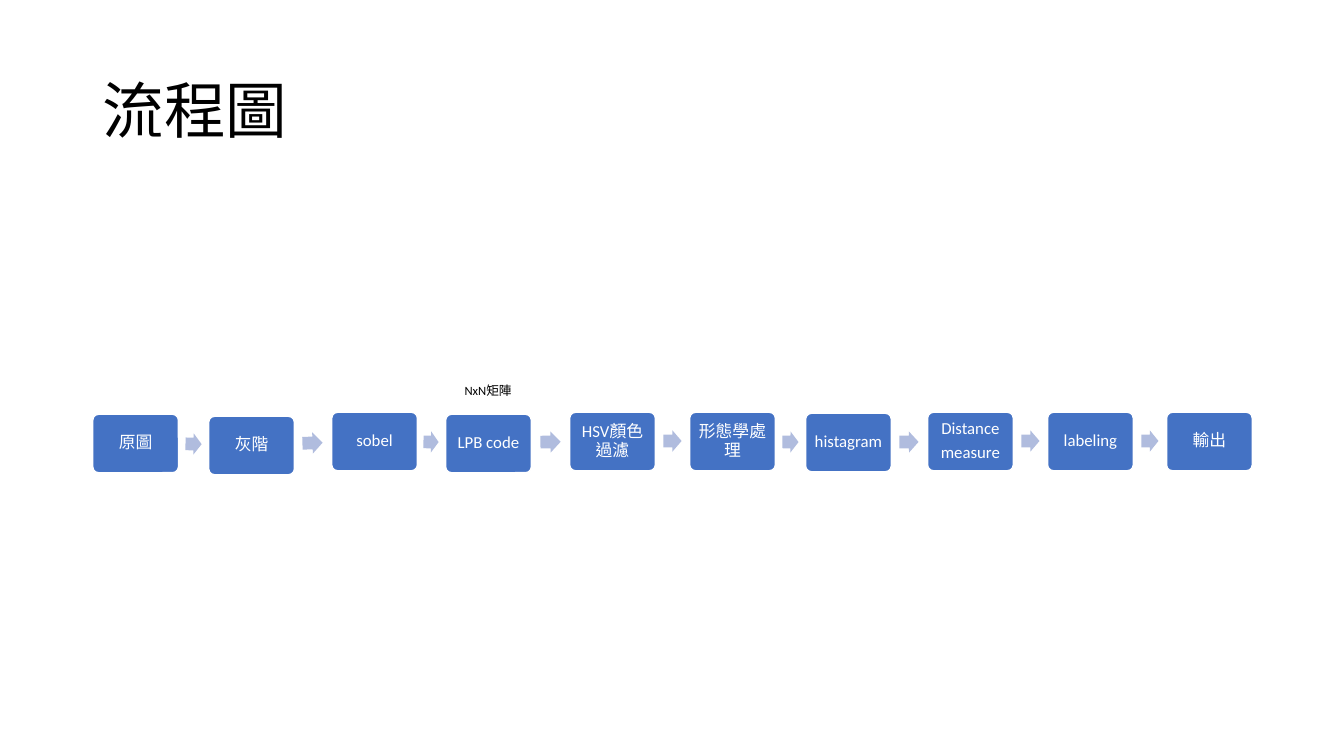
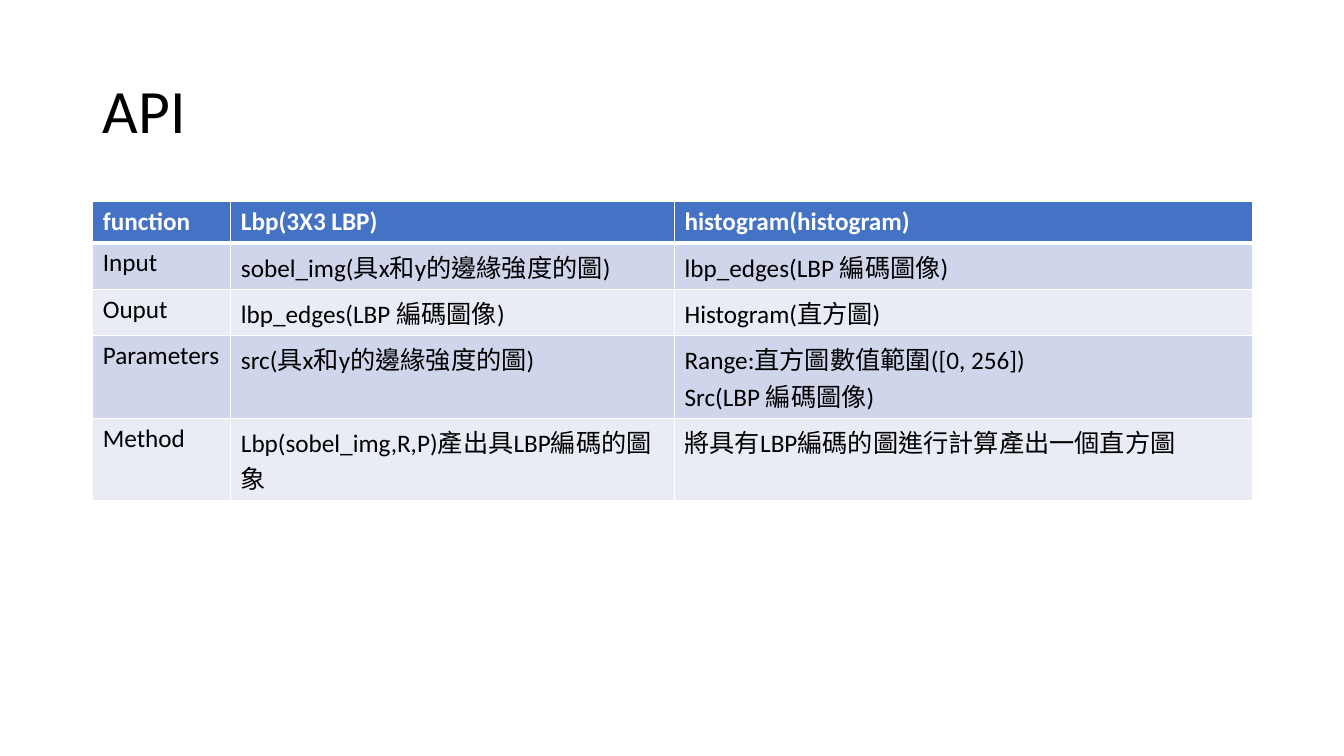
import math

import lxml.etree
import pptx
import pptx.dml.color
import pptx.enum.lang
import pptx.enum.shapes
import pptx.enum.text
import pptx.oxml.ns
import pptx.util

PX = 9144
FONT = "Calibri"
BLACK = pptx.dml.color.RGBColor(0x00, 0x00, 0x00)
WHITE = pptx.dml.color.RGBColor(0xFF, 0xFF, 0xFF)
BLUE = pptx.dml.color.RGBColor(0x44, 0x72, 0xC4)
ARROW_BLUE = pptx.dml.color.RGBColor(0xB0, 0xBC, 0xDE)
BAND_DARK = pptx.dml.color.RGBColor(0xCF, 0xD5, 0xEA)
BAND_LIGHT = pptx.dml.color.RGBColor(0xE9, 0xEB, 0xF5)
MIDDLE = pptx.enum.text.MSO_ANCHOR.MIDDLE
SHAPES = pptx.enum.shapes.MSO_SHAPE


def write(frame, text, size, color, bold=False, line_spacing=None):
    frame.text = text
    frame.word_wrap = True
    for paragraph in frame.paragraphs:
        paragraph.line_spacing = line_spacing
        for run in paragraph.runs:
            run.font.name = FONT
            run.font.size = pptx.util.Pt(size)
            run.font.bold = bold
            run.font.color.rgb = color
            run.font.language_id = pptx.enum.lang.MSO_LANGUAGE_ID.TRADITIONAL_CHINESE


def add_border(cell_properties, side, points):
    border = lxml.etree.SubElement(cell_properties, pptx.oxml.ns.qn("a:" + side))
    border.set("w", str(pptx.util.Pt(points)))
    fill = lxml.etree.SubElement(border, pptx.oxml.ns.qn("a:solidFill"))
    lxml.etree.SubElement(fill, pptx.oxml.ns.qn("a:srgbClr")).set("val", str(WHITE))


deck = pptx.Presentation()
deck.slide_width = 1333 * PX
deck.slide_height = 750 * PX

slides = []
for heading in ("流程圖", "API"):
    slide = deck.slides.add_slide(deck.slide_layouts[6])
    title = slide.shapes.add_textbox(92 * PX, 40 * PX, 1150 * PX, 145 * PX)
    title.text_frame.vertical_anchor = MIDDLE
    write(title.text_frame, heading, 44, BLACK, line_spacing=0.9)
    slides.append(slide)
flow_slide, api_slide = slides

STEP_WIDTH, STEP_HEIGHT, ARROW_HEIGHT = 85, 58, 21
steps = [
    ("原圖", 92, 411),
    ("灰階", 207, 413),
    ("sobel", 329, 409),
    ("LPB code", 442, 411),
    ("HSV顏色過濾", 565, 409),
    ("形態學處理", 684, 409),
    ("histagram", 799, 410),
    ("Distance\nmeasure", 920, 409),
    ("labeling", 1039, 409),
    ("輸出", 1157, 409),
]
for label, left, top in steps:
    step = flow_slide.shapes.add_shape(
        SHAPES.ROUNDED_RECTANGLE, left * PX, top * PX, STEP_WIDTH * PX, STEP_HEIGHT * PX)
    step.adjustments[0] = 0.1
    step.shadow.inherit = False
    step.fill.solid()
    step.fill.fore_color.rgb = BLUE
    step.line.color.rgb = WHITE
    step.line.width = pptx.util.Pt(1)
    frame = step.text_frame
    frame.margin_left = frame.margin_right = 6 * PX
    frame.margin_top = frame.margin_bottom = 6 * PX
    frame.vertical_anchor = MIDDLE
    write(frame, label, 12, WHITE, line_spacing=0.9)
    for paragraph in frame.paragraphs:
        paragraph.alignment = pptx.enum.text.PP_ALIGN.CENTER
        paragraph.space_after = pptx.util.Pt(4.2)

for (_, left, top), (_, next_left, next_top) in zip(steps, steps[1:]):
    gap = next_left - left - STEP_WIDTH
    arrow_width = round(gap * 0.53)
    arrow_left = left + STEP_WIDTH + (gap - arrow_width) // 2
    arrow_top = (top + next_top + STEP_HEIGHT - ARROW_HEIGHT) // 2
    arrow = flow_slide.shapes.add_shape(
        SHAPES.RIGHT_ARROW, arrow_left * PX, arrow_top * PX, arrow_width * PX, ARROW_HEIGHT * PX)
    arrow.adjustments[0] = 0.6
    arrow.adjustments[1] = 0.5
    arrow.rotation = math.degrees(math.atan2(next_top - top, next_left - left))
    arrow.shadow.inherit = False
    arrow.fill.solid()
    arrow.fill.fore_color.rgb = ARROW_BLUE
    arrow.line.fill.background()

matrix_note = flow_slide.shapes.add_textbox(451 * PX, 375 * PX, 204 * PX, 25 * PX)
write(matrix_note.text_frame, "NxN矩陣", 9, BLACK)

functions = [
    ("function", "Lbp(3X3 LBP)", "histogram(histogram)"),
    ("Input", "sobel_img(具x和y的邊緣強度的圖)", "lbp_edges(LBP 編碼圖像)"),
    ("Ouput", "lbp_edges(LBP 編碼圖像)", "Histogram(直方圖)"),
    ("Parameters", "src(具x和y的邊緣強度的圖)", "Range:直方圖數值範圍([0, 256])\nSrc(LBP 編碼圖像)"),
    ("Method", "Lbp(sobel_img,R,P)產出具LBP編碼的圖象", "將具有LBP編碼的圖進行計算產出一個直方圖"),
]
column_widths = (137, 440, 573)
row_heights = (41, 46, 46, 82, 82)
api_table = api_slide.shapes.add_table(
    len(row_heights), len(column_widths), 92 * PX, 200 * PX,
    sum(column_widths) * PX, sum(row_heights) * PX).table
for column, width in zip(api_table.columns, column_widths):
    column.width = width * PX
for row, entries in enumerate(functions):
    api_table.rows[row].height = row_heights[row] * PX
    is_header = row == 0
    band = BLUE if is_header else (BAND_LIGHT, BAND_DARK)[row % 2]
    for column, entry in enumerate(entries):
        cell = api_table.cell(row, column)
        write(cell.text_frame, entry, 18, WHITE if is_header else BLACK, bold=is_header)
        cell_properties = cell._tc.get_or_add_tcPr()
        for side in ("lnL", "lnR", "lnT", "lnB"):
            header_edge = (row, side) in ((0, "lnB"), (1, "lnT"))
            add_border(cell_properties, side, 3 if header_edge else 1)
        cell.fill.solid()
        cell.fill.fore_color.rgb = band

deck.save("out.pptx")
